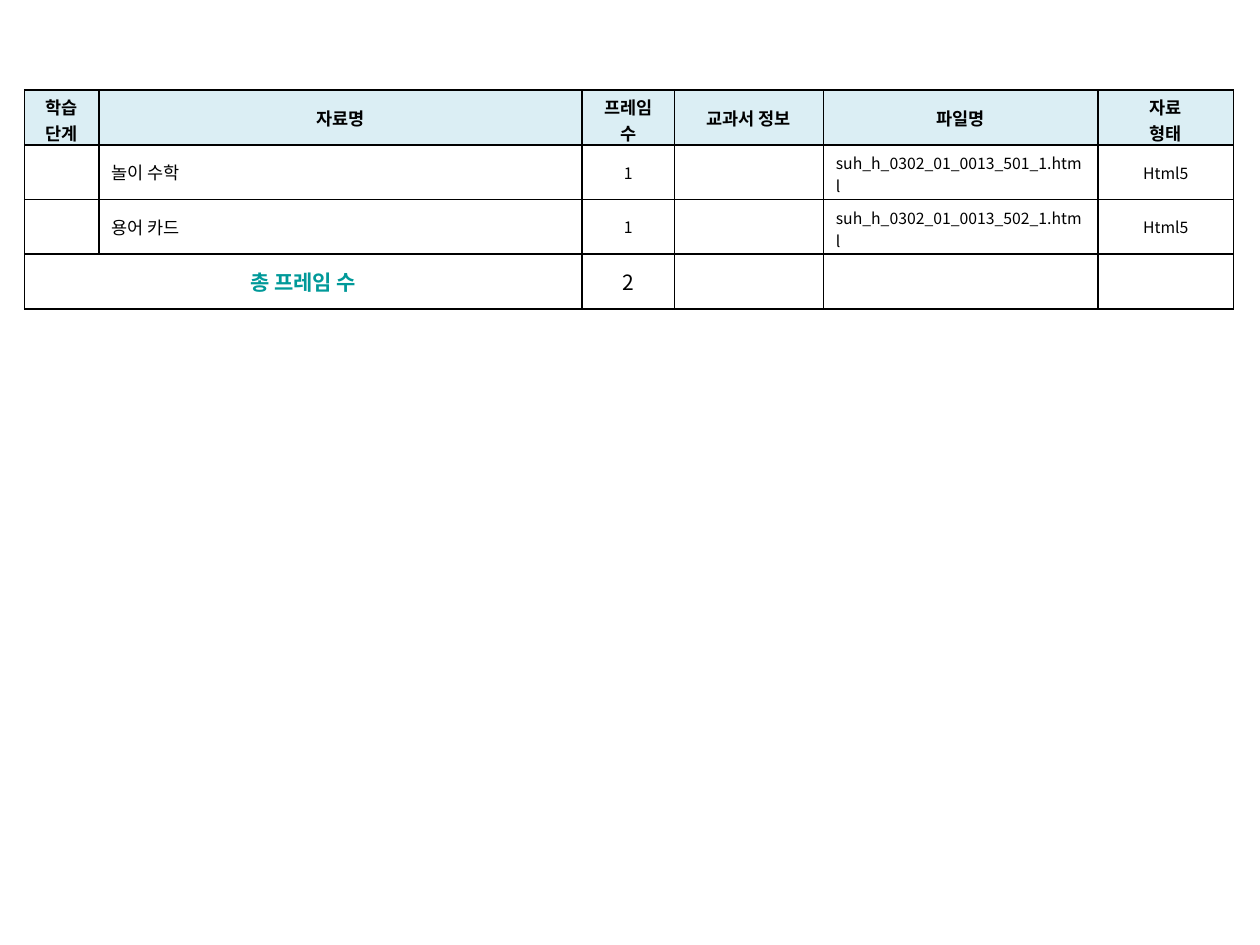
from lxml.etree import SubElement
from pptx import Presentation
from pptx.dml.color import RGBColor
from pptx.enum.text import MSO_ANCHOR, PP_ALIGN as Align
from pptx.oxml.ns import qn
from pptx.util import Pt

FONT = "Noto Sans CJK KR"
BLACK = RGBColor(0x00, 0x00, 0x00)
TEAL = RGBColor(0x00, 0x99, 0x99)
HEADER_BLUE = RGBColor(0xDB, 0xEE, 0xF4)

COLUMN_WIDTHS = (42.5, 276, 53, 85, 157, 77.5)
ROW_HEIGHT = 31.2
HEADERS = ("학습 단계", "자료명", "프레임 수", "교과서 정보", "파일명", "자료\n형태")
MATERIALS = (
    ("", "놀이 수학", "1", "", "suh_h_0302_01_0013_501_1.html", "Html5"),
    ("", "용어 카드", "1", "", "suh_h_0302_01_0013_502_1.html", "Html5"),
)
TOTALS = ("총 프레임 수", "", "2", "", "", "")
NAME_COLUMN, FILE_COLUMN = 1, 4
TWO_LINE_HEADERS = (0, 2, 5)

# Top and bottom cell margins; two-line cells are tighter to keep the row height
NORMAL_MARGINS = (3.6, 3.6)
HEADER_MARGINS = (2.6, 0)
FILE_MARGINS = (3.6, 1.3)


def write_text(cell, text, size=9, bold=False, color=BLACK, align=Align.CENTER):
    frame = cell.text_frame
    for index, line in enumerate(text.split("\n")):
        paragraph = frame.add_paragraph() if index else frame.paragraphs[0]
        paragraph.alignment = align
        run = paragraph.add_run()
        run.text = line
        font = run.font
        font.name, font.size, font.bold = FONT, Pt(size), bold
        font.color.rgb = color
        # Korean letters take the East Asian typeface
        SubElement(font._element, qn("a:ea"), typeface=FONT)


def style_cell(cell, fill=None, margins=NORMAL_MARGINS):
    cell.vertical_anchor = MSO_ANCHOR.MIDDLE
    cell.margin_left = cell.margin_right = Pt(7.2)
    cell.margin_top, cell.margin_bottom = map(Pt, margins)
    properties = cell._tc.get_or_add_tcPr()
    for side in ("a:lnL", "a:lnR", "a:lnT", "a:lnB"):
        border = SubElement(properties, qn(side), w=str(Pt(1)))
        solid = SubElement(border, qn("a:solidFill"))
        SubElement(solid, qn("a:srgbClr"), val=str(BLACK))
    if fill is None:
        cell.fill.background()
    else:
        cell.fill.solid()
        cell.fill.fore_color.rgb = fill


def add_grid(slide, row_count):
    grid = slide.shapes.add_table(
        row_count, len(COLUMN_WIDTHS), Pt(14), Pt(51.5),
        Pt(sum(COLUMN_WIDTHS)), Pt(row_count * ROW_HEIGHT)).table
    for column, width in zip(grid.columns, COLUMN_WIDTHS):
        column.width = Pt(width)
    for row in grid.rows:
        row.height = Pt(ROW_HEIGHT)
    return grid


def fill_header(row):
    for index, (cell, heading) in enumerate(zip(row.cells, HEADERS)):
        two_lines = index in TWO_LINE_HEADERS
        style_cell(cell, HEADER_BLUE, HEADER_MARGINS if two_lines else NORMAL_MARGINS)
        write_text(cell, heading, size=10, bold=True)


def fill_material(row, values):
    formats = {NAME_COLUMN: dict(size=10, align=Align.LEFT),
               FILE_COLUMN: dict(align=Align.JUSTIFY)}
    for index, (cell, value) in enumerate(zip(row.cells, values)):
        style_cell(cell, margins=FILE_MARGINS if index == FILE_COLUMN else NORMAL_MARGINS)
        write_text(cell, value, **formats.get(index, {}))


def fill_totals(row):
    label, spanned = row.cells[0], row.cells[1]
    label.merge(spanned)
    for cell, value in zip(row.cells, TOTALS):
        style_cell(cell)
        if cell.is_merge_origin:
            write_text(cell, value, size=12, bold=True, color=TEAL)
        elif not cell.is_spanned:
            write_text(cell, value, size=12)


def main():
    presentation = Presentation()
    presentation.slide_width, presentation.slide_height = Pt(720), Pt(540)
    slide = presentation.slides.add_slide(presentation.slide_layouts[6])

    # Material list: header, one row per material, totals
    grid = add_grid(slide, len(MATERIALS) + 2)
    header, *material_rows, totals = grid.rows
    fill_header(header)
    for row, values in zip(material_rows, MATERIALS):
        fill_material(row, values)
    fill_totals(totals)

    presentation.save("out.pptx")


if __name__ == "__main__":
    main()
